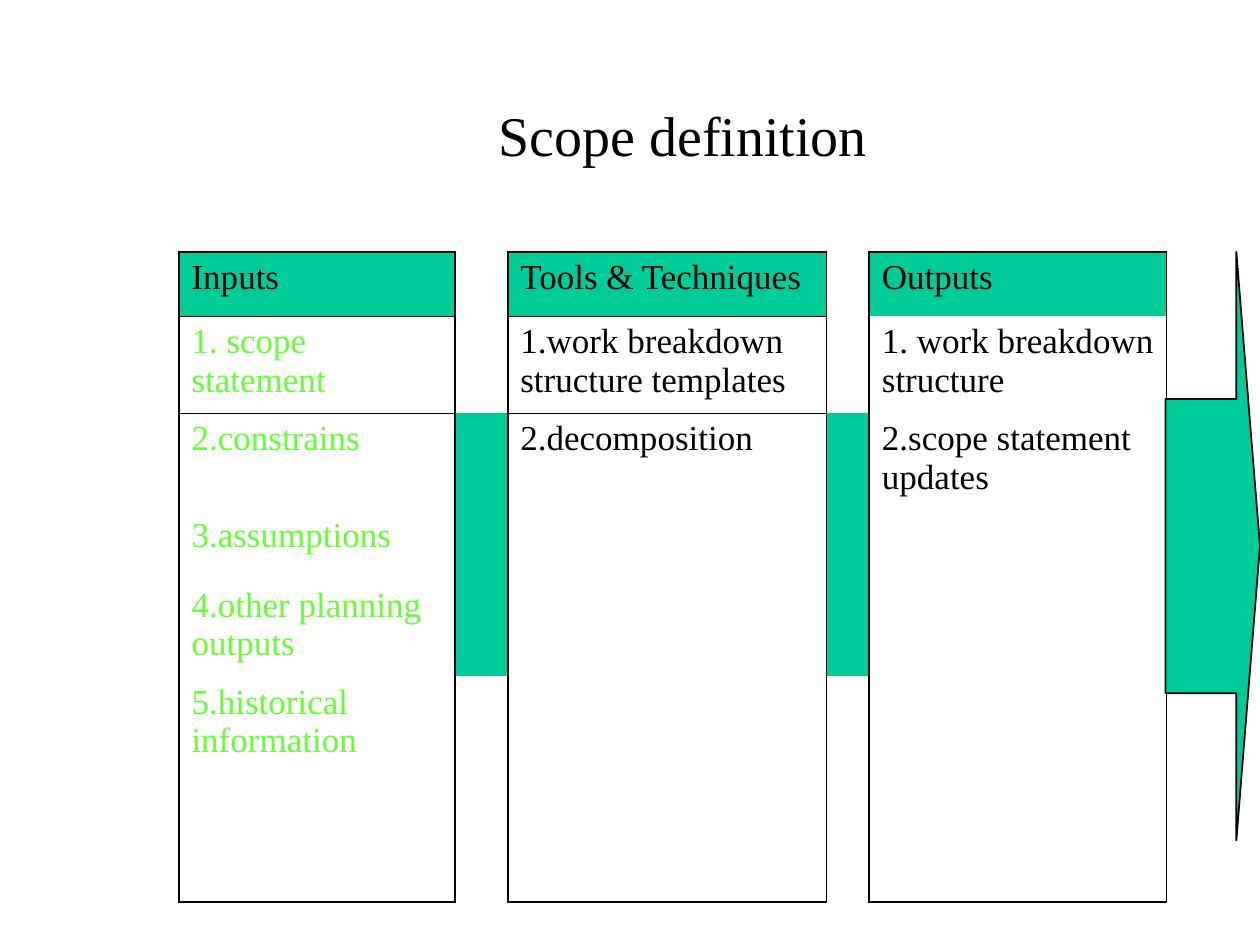
from lxml.etree import SubElement
from pptx import Presentation
from pptx.dml.color import RGBColor
from pptx.enum.shapes import MSO_SHAPE
from pptx.enum.text import MSO_ANCHOR, PP_ALIGN
from pptx.oxml.ns import qn
from pptx.util import Inches, Pt

BLACK = RGBColor(0x00, 0x00, 0x00)
TEAL = RGBColor(0x00, 0xCC, 0x99)
GREEN = RGBColor(0x66, 0xFF, 0x33)
FONT = "Times New Roman"
PLAIN_TABLE_STYLE = "{2D5ABB26-0587-4C30-8999-92F81FD0307C}"  # no style, no grid

COLUMN_WIDTHS = [2.19, 0.42, 2.53, 0.34, 2.36]
ROW_HEIGHTS = [0.51, 0.77, 0.77, 0.55, 0.77, 0.77, 0.51, 0.51]
BAND_ROWS = range(2, 5)  # rows where the arrow's shaft shows between panels

# Table column: heading, item colour, items
PANELS = {
    0: ("Inputs", GREEN, [
        "1. scope statement", "2.constrains", "3.assumptions",
        "4.other planning outputs", "5.historical information"]),
    2: ("Tools & Techniques", BLACK, [
        "1.work breakdown structure templates", "2.decomposition"]),
    4: ("Outputs", BLACK, [
        "1. work breakdown structure", "2.scope statement updates"]),
}


def set_font(paragraph, size, color):
    paragraph.font.name = FONT
    paragraph.font.size = Pt(size)
    paragraph.font.color.rgb = color


def set_borders(cell, widths):
    """Draw black borders; widths maps L, R, T, B (in that order) to points."""
    properties = cell._tc.get_or_add_tcPr()
    for side, width in widths.items():
        line = SubElement(properties, qn(f"a:ln{side}"), w=str(Pt(width)))
        fill = SubElement(line, qn("a:solidFill"))
        SubElement(fill, qn("a:srgbClr"), val=str(BLACK))


def style_cell(cell, row, column):
    is_panel = column in PANELS
    last_row = len(ROW_HEIGHTS) - 1
    borders = {"L": 1.08, "R": 1.08}
    if is_panel and row == 0:
        borders["T"] = 1.08
    if is_panel and row == 1 and column != 4:
        borders["T"] = 0.45
    if is_panel and row == 0 and column != 4:
        borders["B"] = 0.45
    if is_panel and row == last_row:
        borders["B"] = 1.08
    set_borders(cell, borders)

    if (row == 0) if is_panel else (row in BAND_ROWS):
        cell.fill.solid()
        cell.fill.fore_color.rgb = TEAL
    else:
        cell.fill.background()
    cell.margin_left = Inches(0.1)
    cell.margin_right = Inches(0.08)
    cell.margin_top = cell.margin_bottom = Inches(0.05)


def add_title(slide, left, top, width, height):
    title = slide.shapes.title
    title.left, title.top, title.width, title.height = left, top, width, height
    title.text_frame.vertical_anchor = MSO_ANCHOR.TOP
    heading = title.text_frame.paragraphs[0]
    heading.text = "Scope definition"
    heading.alignment = PP_ALIGN.CENTER
    set_font(heading, 32, BLACK)


def add_process_table(slide, left, top, width, height):
    frame = slide.shapes.add_table(
        len(ROW_HEIGHTS), len(COLUMN_WIDTHS), left, top, width, height)
    process = frame.table
    process.first_row = process.horz_banding = False
    process._tbl.tblPr.find(qn("a:tableStyleId")).text = PLAIN_TABLE_STYLE
    for column, column_width in zip(process.columns, COLUMN_WIDTHS):
        column.width = Inches(column_width)
    for row, row_height in zip(process.rows, ROW_HEIGHTS):
        row.height = Inches(row_height)

    for row in range(len(ROW_HEIGHTS)):
        for column in range(len(COLUMN_WIDTHS)):
            style_cell(process.cell(row, column), row, column)

    # Headings and items
    for column, (heading, item_color, items) in PANELS.items():
        for row, text in enumerate([heading, *items]):
            entry = process.cell(row, column).text_frame.paragraphs[0]
            entry.text = text
            set_font(entry, 20, item_color if row else BLACK)


def add_arrow(slide, left, top, width, height):
    arrow = slide.shapes.add_shape(
        MSO_SHAPE.RIGHT_ARROW, left, top, width, height)
    arrow.adjustments[0] = 0.5
    arrow.adjustments[1] = 0.25
    arrow.shadow.inherit = False
    arrow.fill.solid()
    arrow.fill.fore_color.rgb = TEAL
    arrow.line.color.rgb = BLACK
    arrow.line.width = Pt(1)


def main():
    presentation = Presentation()
    presentation.slide_width = Inches(10)
    presentation.slide_height = Inches(7.5)
    slide = presentation.slides.add_slide(presentation.slide_layouts[5])

    add_title(slide, Inches(1.67), Inches(0.75), Inches(7.5), Inches(0.64))
    add_process_table(slide, Inches(1.42), Inches(2), Inches(7.83), Inches(5.17))
    add_arrow(slide, Inches(9.25), Inches(2), Inches(0.75), Inches(4.67))

    presentation.save("out.pptx")


if __name__ == "__main__":
    main()
